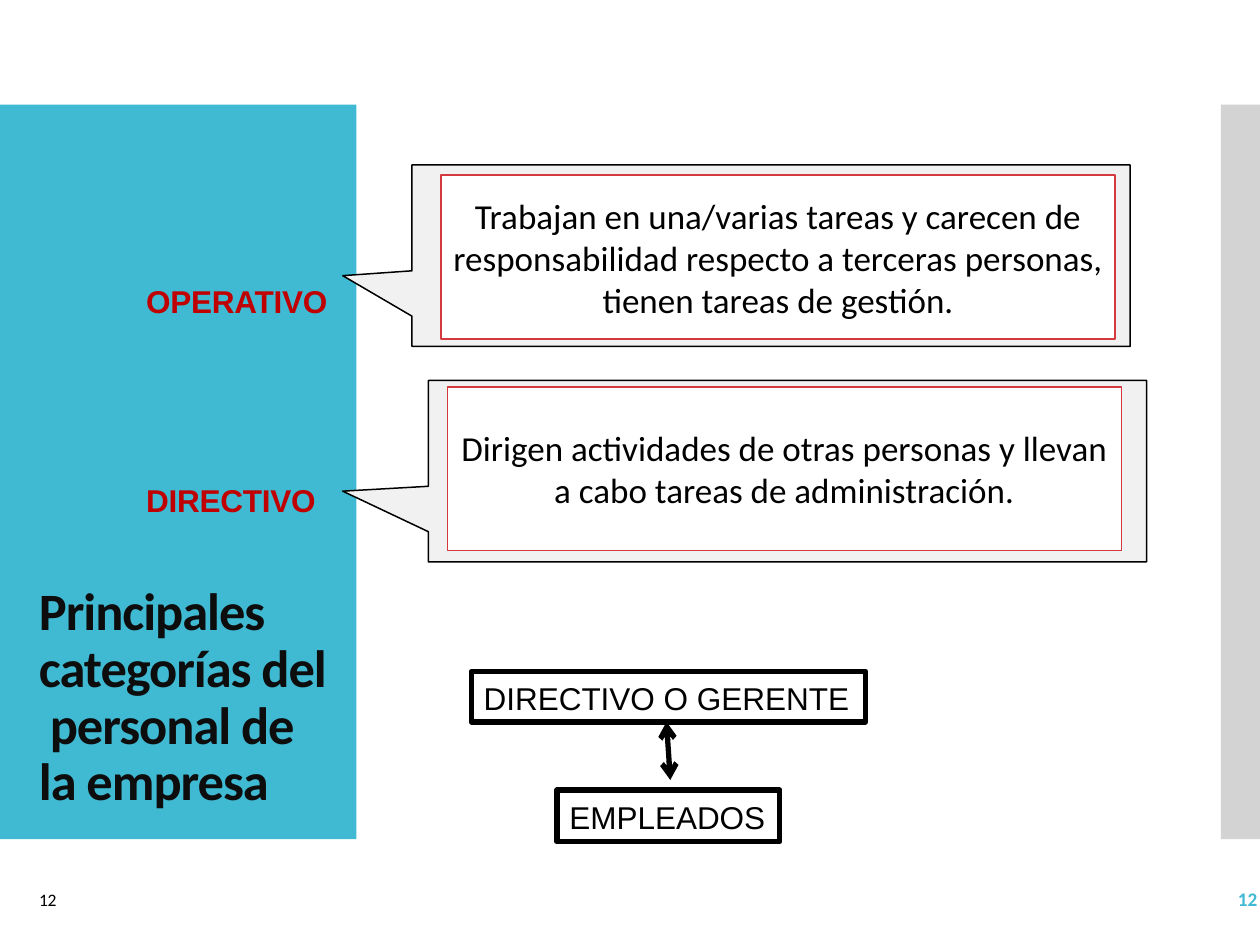
from lxml import etree
from pptx import Presentation
from pptx.dml.color import RGBColor
from pptx.enum.shapes import MSO_CONNECTOR as Connector, MSO_SHAPE as Shape
from pptx.enum.text import MSO_ANCHOR as Anchor, PP_ALIGN as Align
from pptx.oxml.ns import qn
from pptx.util import Inches, Pt

presentation = Presentation()
presentation.slide_width, presentation.slide_height = Inches(10), Inches(7.5)
slide = presentation.slides.add_slide(presentation.slide_layouts[6])

# Grid of 100 columns by 75 rows
column = presentation.slide_width / 100
row = presentation.slide_height / 75


def color(value):
    return RGBColor.from_string(value)


def add_box(area, kind=Shape.RECTANGLE, fill=None, line=None, weight=0.85,
            lines=(), size=18, font="Arial", ink="000000", bold=False,
            align=Align.LEFT, anchor=Anchor.TOP, margins=(0, 0, 0, 0),
            spacing=None, tracking=0):
    left, top, width, height = area
    place = (round(left * column), round(top * row),
             round(width * column), round(height * row))
    if fill or line:
        shape = slide.shapes.add_shape(kind, *place)
        shape.shadow.inherit = False
        for part, value in ((shape.fill, fill), (shape.line.fill, line)):
            if value:
                part.solid()
                part.fore_color.rgb = color(value)
            else:
                part.background()
        if line:
            shape.line.width = Pt(weight)
    else:
        shape = slide.shapes.add_textbox(*place)
    if not lines:
        return shape

    frame = shape.text_frame
    frame.word_wrap = True
    frame.vertical_anchor = anchor
    frame.margin_left, frame.margin_right = (round(m * column) for m in margins[::2])
    frame.margin_top, frame.margin_bottom = (round(m * row) for m in margins[1::2])
    paragraph = frame.paragraphs[0]
    paragraph.alignment = align
    if spacing:
        paragraph.line_spacing = Pt(spacing)
    for index, text in enumerate(lines):
        if index:
            paragraph.add_line_break()
        run = paragraph.add_run()
        run.text = text
        run.font.name, run.font.size, run.font.bold = font, Pt(size), bold
        run.font.color.rgb = color(ink)
        if tracking:
            run.font._element.set("spc", str(round(tracking * 100)))
    return shape


# Side bands
add_box((0, 8.3, 28.3, 58.3), fill="40B9D2")
add_box((96.9, 8.3, 3.1, 58.3), fill="D3D3D3")

# Title
add_box((3, 45.5, 24.3, 18.8), size=30, font="Calibri", ink="0D0D0D", bold=True,
        lines=("Principales", "categorías del", " personal de", "la empresa"),
        margins=(0.1, 0.9, 0, 0), spacing=32.4, tracking=-0.6)

# Categories: label, callout and description
categories = (
    ("OPERATIVO", 22.2, 32.7, 13.1, (35, 13.9),
     "Trabajan en una/varias tareas y carecen de responsabilidad respecto "
     "a terceras personas, tienen tareas de gestión."),
    ("DIRECTIVO", 38, 34, 30.2, (35.5, 30.7),
     "Dirigen actividades de otras personas y llevan a cabo tareas de "
     "administración."),
)
callout_width, callout_height, tip = 57, 14.4, 27.2
for label, label_top, left, top, panel, description in categories:
    add_box((11.5, label_top, 15.5, 3.3), lines=(label,), ink="C00000", bold=True,
            margins=(0.1, 0.2, 0, 0), tracking=-0.15)
    callout = add_box((left, top, callout_width, callout_height),
                      Shape.RECTANGULAR_CALLOUT, fill="F1F1F1", line="000000")
    callout.adjustments[0] = (tip - left) / callout_width - 0.5
    callout.adjustments[1] = 0.11
    add_box((*panel, 53.5, 13), fill="FFFFFF", line="D5393D", lines=(description,),
            size=20, font="Calibri", align=Align.CENTER, anchor=Anchor.MIDDLE,
            margins=(1, 0.5, 1, 0.5))

# Hierarchy boxes
for text, area in (("DIRECTIVO O GERENTE", (37.4, 53.3, 31.3, 4)),
                   ("EMPLEADOS", (44.2, 62.7, 17.7, 4.1))):
    add_box(area, line="000000", weight=3, lines=(text,), margins=(1, 0.6, 0, 0))

# Two-way arrow between them
arrow = slide.shapes.add_connector(
    Connector.STRAIGHT, round(52.9 * column), round(57.3 * row),
    round(53.2 * column), round(61.9 * row))
arrow.line.color.rgb = color("000000")
arrow.line.width = Pt(3)
for end in ("a:headEnd", "a:tailEnd"):
    etree.SubElement(arrow.line._get_or_add_ln(), qn(end), type="arrow")
etree.SubElement(arrow._element.spPr, qn("a:effectLst"))

# Slide numbers
add_box((2.7, 70.8, 2.4, 1.7), lines=("12",), size=10, font="Calibri",
        margins=(0.4, 0, 0, 0), spacing=10.4, tracking=-0.1)
add_box((87.2, 69.5, 12.6, 4), lines=("12",), size=11, font="Calibri", ink="40B9D2",
        bold=True, align=Align.RIGHT, anchor=Anchor.MIDDLE, spacing=11.4)

presentation.save("out.pptx")
